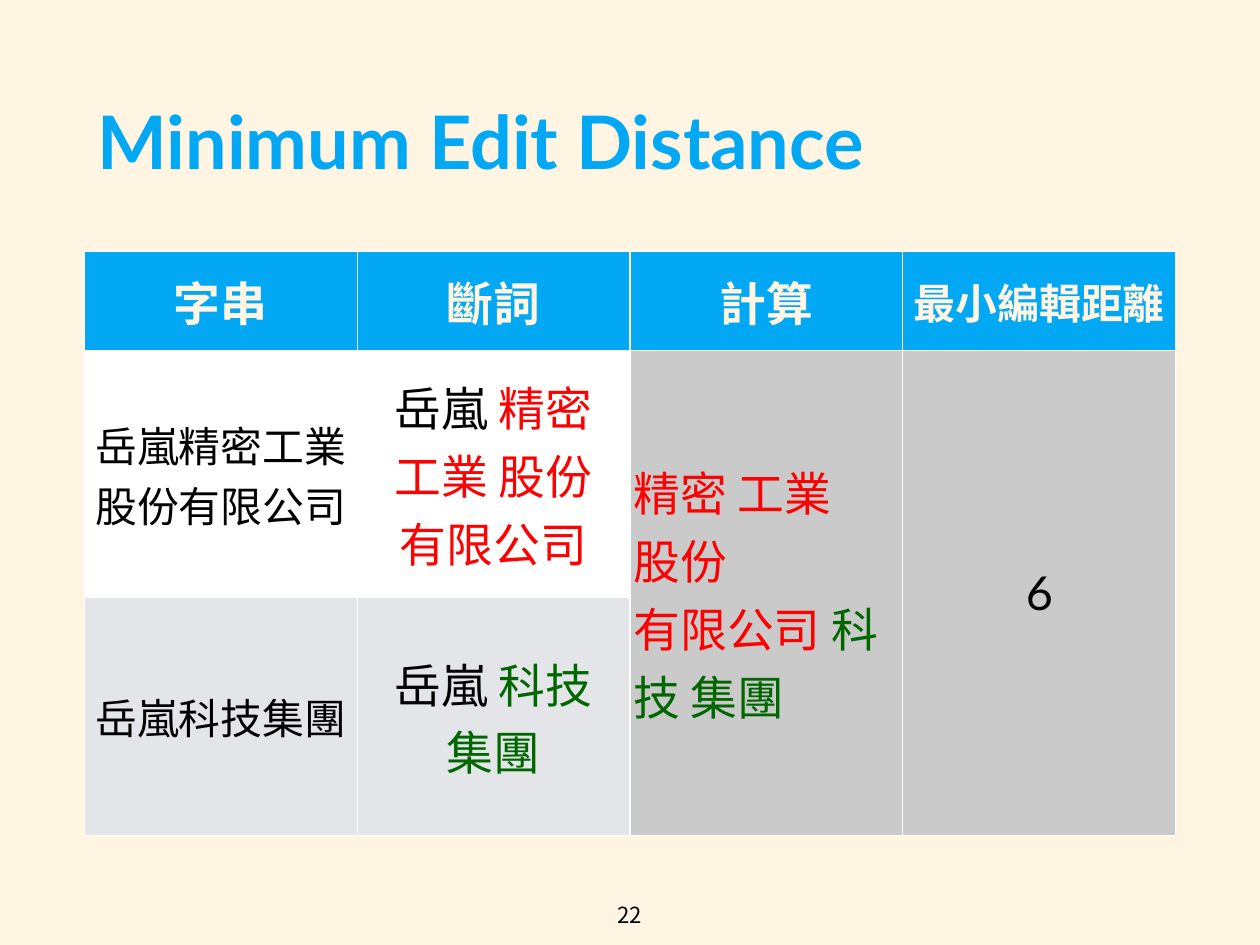
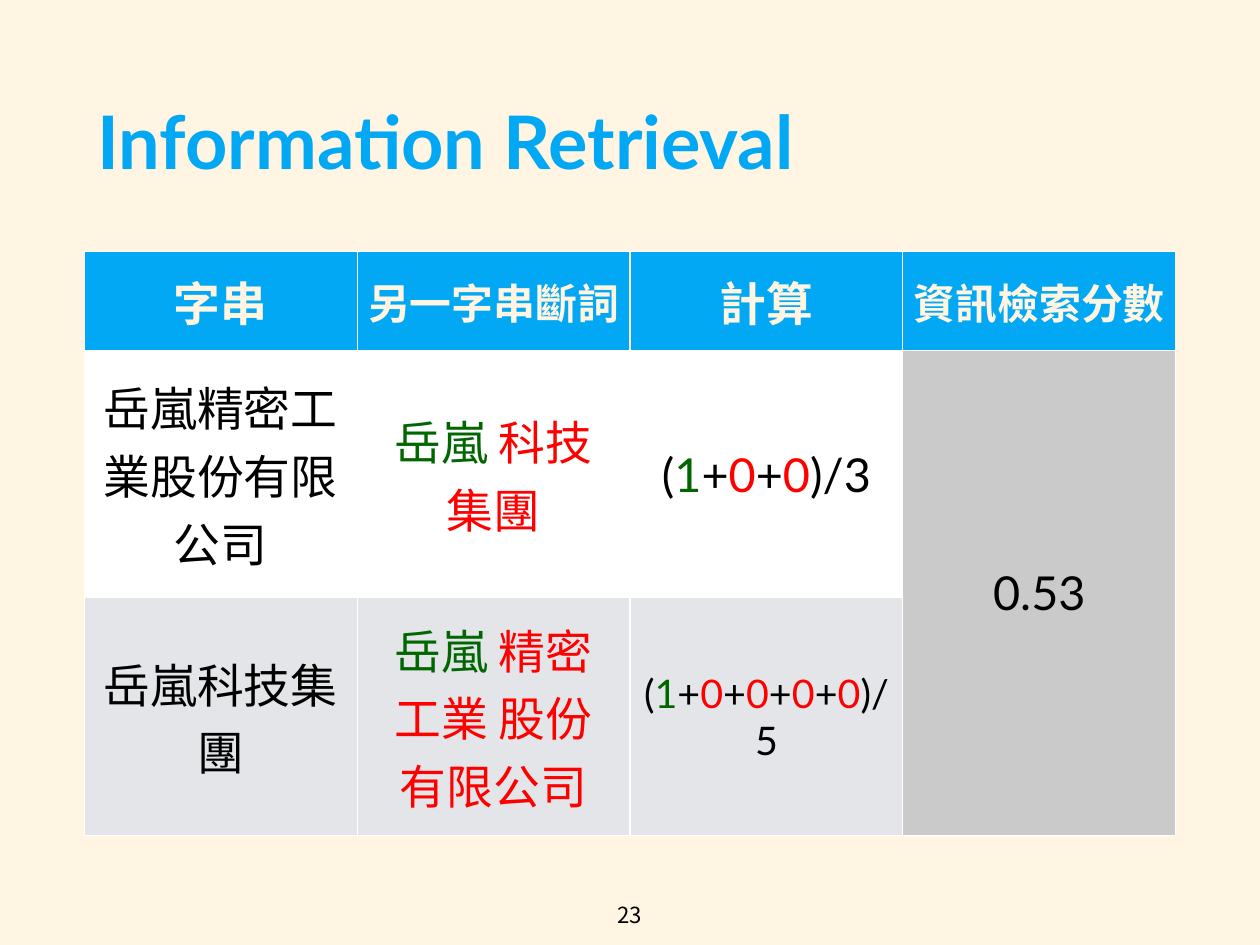
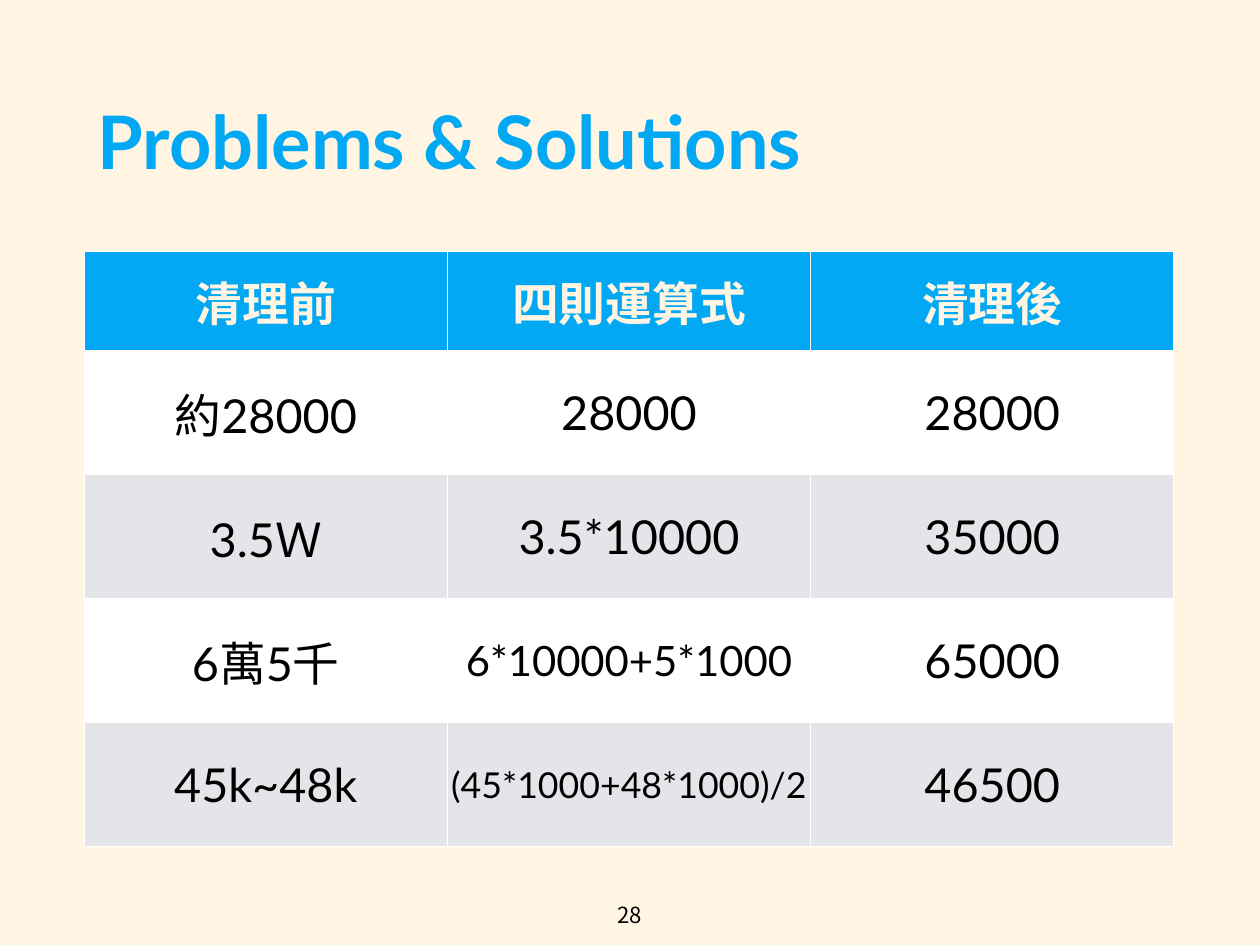
from lxml import etree
from pptx import Presentation
from pptx.dml.color import RGBColor
from pptx.enum.text import MSO_ANCHOR, MSO_AUTO_SIZE, PP_ALIGN
from pptx.oxml.ns import qn
from pptx.util import Inches, Pt

LEFT, CENTER = PP_ALIGN.LEFT, PP_ALIGN.CENTER
MIDDLE = MSO_ANCHOR.MIDDLE
NO_FIT = MSO_AUTO_SIZE.NONE

# Shared look
CREAM, BLUE, WHITE, BAND, GREY = "FFF5E2", "02A8F3", "FFFFFF", "E3E5E8", "CACACA"
BLACK, RED, GREEN = "000000", "FF0000", "006600"
LATIN, CJK, NUMBER = "Lato", "Noto Sans CJK SC", "Noto Sans CJK JP"
TABLE_LEFT, TABLE_TOP = 0.95, 2.84
HEADER_HEIGHT = 1.12


def rgb(value):
    return RGBColor.from_string(value)


def style_run(r, size, color, bold=False, name=LATIN, east=CJK):
    r.font.size = Pt(size)
    r.font.bold = bold
    r.font.color.rgb = rgb(color)
    r.font.name = name
    etree.SubElement(r._r.get_or_add_rPr(), qn("a:ea"), typeface=east)


# Slide contents: a cell is (paragraphs, size, alignment); a paragraph lists its coloured runs
DIGIT_COLORS = {"1": GREEN, "0": RED}
SCORES = [[[(ch, DIGIT_COLORS.get(ch, BLACK)) for ch in formula]]
          for formula in ("(1+0+0)/3", "(1+0+0+0+0)/5")]


def segmented(first_color, rest_color, first_line, *lines):
    """The shared name in one colour, the remaining words in another."""
    return ([[("岳嵐 ", first_color), (first_line, rest_color)]]
            + [[(line, rest_color)] for line in lines])


LONG_NAME, SHORT_NAME = "岳嵐精密工業股份有限公司", "岳嵐科技集團"
LONG_WORDS = ("精密", "工業 股份", "有限公司")
SHORT_WORDS = ("科技", "集團")
edit_words = [[("精密 工業", RED)], [("股份", RED)],
              [("有限公司 ", RED), ("科技 集團", GREEN)]]

slides = [
    dict(title="Minimum Edit Distance", number="22", width=3.08, margin=0.04,
         heights=[2.79, 2.68], merged=[2, 3],
         rows=[["字串", "斷詞", "計算", ("最小編輯距離", 34)],
               [(LONG_NAME, 34), segmented(BLACK, RED, *LONG_WORDS),
                (edit_words, 38, LEFT), "6"],
               [(SHORT_NAME, 34), segmented(BLACK, GREEN, *SHORT_WORDS), "", ""]]),
    dict(title="Information Retrieval", number="23", width=3.08, margin=0.05,
         heights=[2.79, 2.68], merged=[3],
         rows=[["字串", ("另一字串斷詞", 34), "計算", ("資訊檢索分數", 34)],
               [LONG_NAME, segmented(GREEN, RED, *SHORT_WORDS), SCORES[0], "0.53"],
               [SHORT_NAME, segmented(GREEN, RED, *LONG_WORDS), (SCORES[1], 32), ""]]),
    dict(title="Problems & Solutions", number="28", width=4.1, margin=0.04,
         heights=[1.4] * 4, merged=[],
         rows=[["清理前", "四則運算式", "清理後"],
               ["約28000", "28000", "28000"],
               ["3.5Ｗ", "3.5*10000", "35000"],
               ["6萬5千", ("6*10000+5*1000", 34), "65000"],
               ["45k~48k", ("(45*1000+48*1000)/2", 29), "46500"]]),
]

# Presentation, background and title position
prs = Presentation()
prs.slide_width, prs.slide_height = Inches(14.22), Inches(10.67)
bg = prs.slide_master.background.fill
bg.solid()
bg.fore_color.rgb = rgb(CREAM)
layout = prs.slide_layouts[5]
title = layout.placeholders[0]
title.left, title.top, title.width, title.height = map(Inches, (1.04, 0.49, 12.14, 2.36))

for data in slides:
    s = prs.slides.add_slide(layout)

    # Title
    tf = s.shapes.title.text_frame
    tf.text = data["title"]
    tf.auto_size = NO_FIT
    tf.vertical_anchor = MIDDLE
    tf.margin_left = tf.margin_right = tf.margin_top = tf.margin_bottom = Inches(0.06)
    p = tf.paragraphs[0]
    p.alignment = LEFT
    p.line_spacing = 0.8
    style_run(p.runs[0], 60, BLUE, bold=True)

    # Table
    rows = data["rows"]
    heights = [HEADER_HEIGHT] + data["heights"]
    cols = len(rows[0])
    table = s.shapes.add_table(len(rows), cols, Inches(TABLE_LEFT), Inches(TABLE_TOP),
                               Inches(data["width"] * cols), Inches(sum(heights))).table
    table.horz_banding = False
    for col in table.columns:
        col.width = Inches(data["width"])
    for row, height in zip(table.rows, heights):
        row.height = Inches(height)
    for j in data["merged"]:
        table.cell(1, j).merge(table.cell(2, j))

    for i, row in enumerate(rows):
        header = i == 0
        for j, content in enumerate(row):
            if not isinstance(content, tuple):
                content = (content, 38)
            paragraphs, size, *rest = content
            align = rest[0] if rest else CENTER
            if isinstance(paragraphs, str):
                paragraphs = [[(paragraphs, CREAM if header else BLACK)]]

            # Cell borders, fill and margins
            cell = table.cell(i, j)
            tcPr = cell._tc.get_or_add_tcPr()
            for side in ("a:lnL", "a:lnR", "a:lnT", "a:lnB"):
                ln = etree.SubElement(tcPr, qn(side), w=str(Pt(1)))
                fill = etree.SubElement(ln, qn("a:solidFill"))
                etree.SubElement(fill, qn("a:srgbClr"), val=WHITE)
            cell.fill.solid()
            body = GREY if j in data["merged"] else (WHITE if i % 2 else BAND)
            cell.fill.fore_color.rgb = rgb(BLUE if header else body)
            cell.vertical_anchor = MIDDLE
            cell.margin_left = cell.margin_right = Inches(data["margin"])
            cell.margin_top = cell.margin_bottom = Inches(data["margin"])
            if cell.is_spanned:
                continue

            # Cell text
            tf = cell.text_frame
            for k, runs in enumerate(paragraphs):
                p = tf.add_paragraph() if k else tf.paragraphs[0]
                p.alignment = align
                for text, color in runs:
                    r = p.add_run()
                    r.text = text
                    style_run(r, size, color, bold=header)

    # Slide number
    box = s.shapes.add_textbox(Inches(6.88), Inches(10.12), Inches(0.45), Inches(0.36))
    tf = box.text_frame
    tf.text = data["number"]
    tf.word_wrap = False
    tf.margin_left = tf.margin_right = tf.margin_top = tf.margin_bottom = Inches(0.06)
    p = tf.paragraphs[0]
    p.alignment = CENTER
    style_run(p.runs[0], 18, BLACK, name=NUMBER, east=NUMBER)

prs.save("out.pptx")
